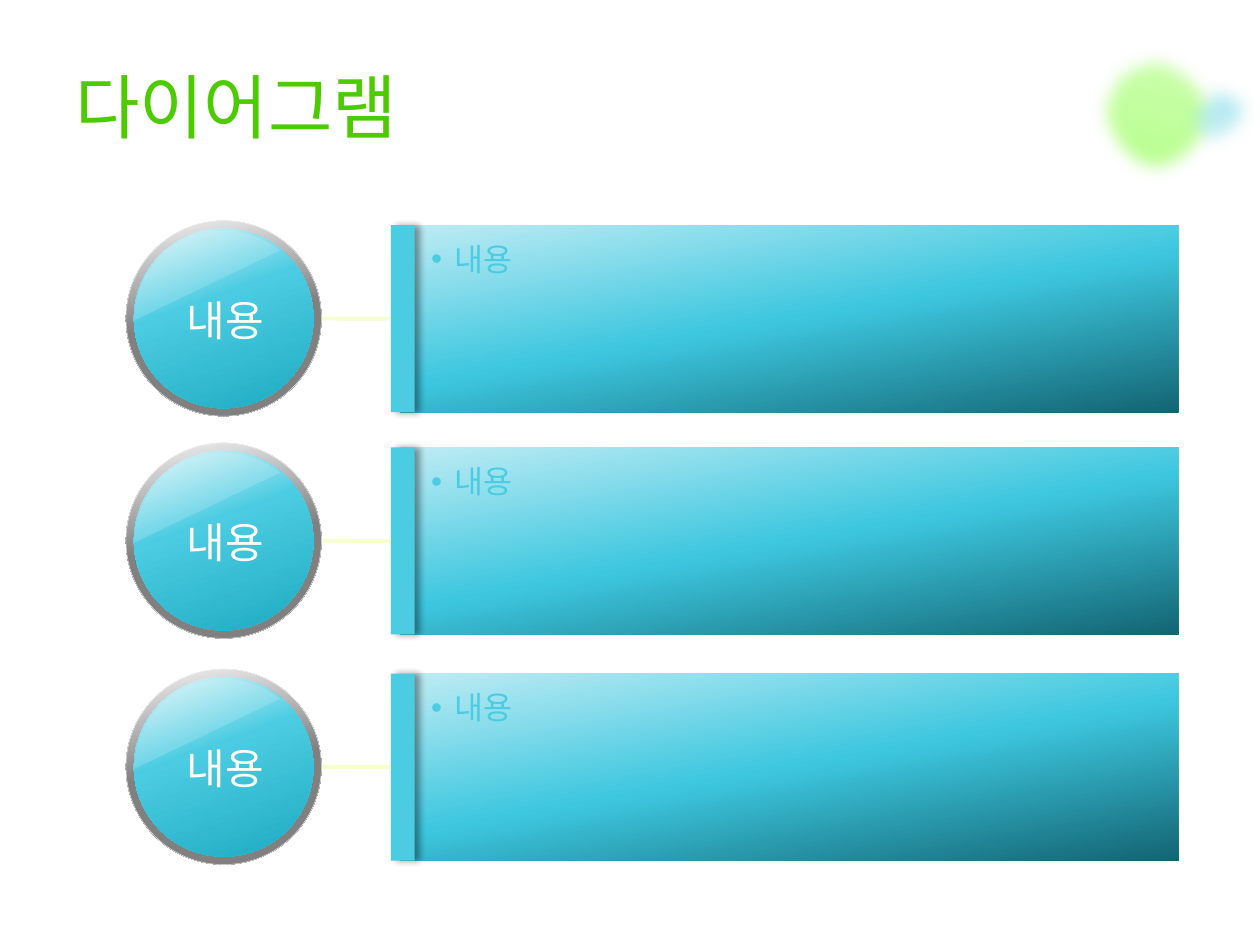
from lxml.etree import SubElement
from pptx import Presentation
from pptx.dml.color import RGBColor
from pptx.enum.shapes import MSO_CONNECTOR, MSO_SHAPE
from pptx.enum.text import MSO_ANCHOR, MSO_AUTO_SIZE, PP_ALIGN
from pptx.oxml.ns import qn
from pptx.util import Cm, Pt

ROW_TOPS = [4.45, 8.93, 13.49]
BALL, RIM = 3.94, 0.16
AQUA = "4BCCE2"

# Blob outlines in inches: start point, then cubic Bezier segments
GREEN_BLOB = [(9.74, 1.03),
              (9.71, 1.18, 9.74, 1.26, 9.49, 1.39), (9.36, 1.47, 9.21, 1.5, 9.06, 1.46),
              (8.91, 1.43, 8.78, 1.34, 8.7, 1.21), (8.65, 1.04, 8.59, 0.93, 8.63, 0.78),
              (8.66, 0.63, 8.75, 0.5, 8.88, 0.42), (9.06, 0.37, 9.18, 0.32, 9.31, 0.34),
              (9.43, 0.37, 9.55, 0.45, 9.63, 0.58), (9.71, 0.71, 9.78, 0.88, 9.74, 1.03)]
BLUE_BLOB = [(9.97, 1.05),
             (10.03, 0.96, 10, 0.89, 9.99, 0.82), (9.98, 0.75, 9.97, 0.65, 9.91, 0.6),
             (9.85, 0.56, 9.71, 0.54, 9.62, 0.56), (9.54, 0.58, 9.45, 0.63, 9.39, 0.72),
             (9.32, 0.81, 9.32, 0.92, 9.34, 1.01), (9.35, 1.09, 9.4, 1.19, 9.46, 1.24),
             (9.53, 1.29, 9.64, 1.31, 9.71, 1.31), (9.78, 1.3, 9.81, 1.29, 9.87, 1.2)]


def rgb(color):
    return RGBColor.from_string(color)


def add_xml(parent, tag, **attrs):
    return SubElement(parent, qn(tag), {k: str(v) for k, v in attrs.items()})


def add_color(parent, color, alpha=100):
    clr = add_xml(parent, "a:srgbClr", val=color)
    if alpha < 100:
        add_xml(clr, "a:alpha", val=alpha * 1000)


def paint(sp, fill, alpha=100, angle=80):
    """Fill with one colour, or with a gradient of (position, colour, opacity) stops."""
    sp.shadow.inherit = False
    sp.line.fill.background()
    if isinstance(fill, str):
        sp.fill.solid()
        sp.fill.fore_color.rgb = rgb(fill)
        if alpha < 100:
            clr = sp.element.spPr.find(qn("a:solidFill"))[0]
            add_xml(clr, "a:alpha", val=alpha * 1000)
        return
    sp.fill.background()
    spPr = sp.element.spPr
    old = spPr.find(qn("a:noFill"))
    grad = add_xml(spPr, "a:gradFill", rotWithShape=1)
    spPr.replace(old, grad)
    stops = add_xml(grad, "a:gsLst")
    for pos, *color in fill:
        add_color(add_xml(stops, "a:gs", pos=pos * 1000), *color)
    add_xml(grad, "a:lin", ang=angle * 60000, scaled=0)


def add_effect(sp, tag, **attrs):
    return add_xml(sp.element.spPr.find(qn("a:effectLst")), tag, **attrs)


def add_shape(shapes, kind, x, y, w, h, fill, **kw):
    sp = shapes.add_shape(kind, Cm(x), Cm(y), Cm(w), Cm(h))
    paint(sp, fill, **kw)
    return sp


def write(sp, text, size, color, font="Arial", align=PP_ALIGN.LEFT,
          anchor=MSO_ANCHOR.MIDDLE, wrap=True, bullet=False):
    tf = sp.text_frame
    tf.word_wrap = wrap
    tf.vertical_anchor = anchor
    p = tf.paragraphs[0]
    p.alignment = align
    if bullet:
        pPr = p._p.get_or_add_pPr()
        pPr.set("marL", str(Cm(0.48)))
        pPr.set("indent", str(-Cm(0.48)))
        add_xml(pPr, "a:buFont", typeface="Arial")
        add_xml(pPr, "a:buChar", char="•")
    r = p.add_run()
    r.text = text
    r.font.size = Pt(size)
    r.font.name = font
    r.font.color.rgb = rgb(color)
    add_xml(r._r.get_or_add_rPr(), "a:ea", typeface=font)
    return tf


def add_text(s, x, y, w, h, text, **kw):
    return write(s.shapes.add_textbox(Cm(x), Cm(y), Cm(w), Cm(h)), text, **kw)


def add_blob(s, outline, stops, rotation, steps=8):
    start, *curves = outline
    points, last = [], start
    for x1, y1, x2, y2, x3, y3 in curves:
        for t in (i / steps for i in range(1, steps + 1)):
            u = 1 - t
            points.append(tuple(
                Cm(2.54 * (u**3 * a + 3 * u * u * t * b + 3 * u * t * t * c + t**3 * d))
                for a, b, c, d in zip(last, (x1, y1), (x2, y2), (x3, y3))))
        last = (x3, y3)
    fb = s.shapes.build_freeform(*(Cm(2.54 * v) for v in start))
    fb.add_line_segments(points, close=True)
    sp = fb.convert_to_shape()
    paint(sp, stops, angle=90)
    sp.rotation = rotation
    add_effect(sp, "a:softEdge", rad=Pt(10))


def add_ball(s, top):
    shapes = s.shapes.add_group_shape().shapes
    left, inner = 2.54, BALL - 2 * RIM
    rim = add_shape(shapes, MSO_SHAPE.OVAL, left, top, BALL, BALL,
                    [(0, "F2F2F2"), (50, "808080"), (100, "808080")])
    rim.line.color.rgb = rgb("F2F2F2")
    rim.line.width = Pt(0.25)
    add_shape(shapes, MSO_SHAPE.OVAL, left + RIM, top + RIM, inner, inner,
              [(0, "EDFAFC"), (40, AQUA), (100, "1FABC2")], angle=70)
    gloss = add_shape(shapes, MSO_SHAPE.CHORD, left + RIM, top + RIM + 0.04,
                      inner, inner, "DBF5F9", alpha=20)
    gloss.adjustments[0], gloss.adjustments[1] = 53.95, 131.3
    gloss.rotation = 90
    tf = add_text(s, 3.45, top + 1.35, 2.18, 1.28, "내용", size=24, color="FDFFF5",
                  align=PP_ALIGN.CENTER, wrap=False)
    tf.auto_size = MSO_AUTO_SIZE.SHAPE_TO_FIT_TEXT


def add_panel(s, top):
    shapes = s.shapes.add_group_shape().shapes
    panel = add_shape(shapes, MSO_SHAPE.RECTANGLE, 8.08, top, 15.67, 3.77,
                      [(0, "BEECF4"), (50, "3DC7DF"), (100, "136573")])
    tf = write(panel, "내용", 18, AQUA, anchor=MSO_ANCHOR.TOP, bullet=True)
    tf.margin_left, tf.margin_top = Cm(0.61), Cm(0.3)
    bar = add_shape(shapes, MSO_SHAPE.RECTANGLE, 7.88, top, 0.48, 3.77, AQUA)
    shadow = add_effect(bar, "a:outerShdw", blurRad=Pt(4), dist=Pt(3), dir=0,
                        algn="l", rotWithShape=0)
    add_color(shadow, "000000", 40)
    return bar


def add_link(s, top, bar):
    y = Cm(top + BALL / 2)
    ln = s.shapes.add_connector(MSO_CONNECTOR.STRAIGHT, Cm(6.5), y, Cm(7.88), y)
    ln.end_connect(bar, 1)
    ln.line.color.rgb = rgb("F6FFCD")
    ln.line.width = Pt(2.25)
    add_xml(ln.element.spPr, "a:effectLst")


def main():
    prs = Presentation()
    prs.slide_width, prs.slide_height = Cm(25.4), Cm(19.05)
    s = prs.slides.add_slide(prs.slide_layouts[6])

    # Corner decoration
    add_blob(s, GREEN_BLOB, [(0, "B2FF84"), (100, "B2FF84", 58)], 192.5)
    add_blob(s, BLUE_BLOB, [(0, "8CDFEC"), (100, "B0E9F2", 36)], 34.8)

    # Title
    add_text(s, 1.27, 0.84, 22.86, 2.57, "다이어그램", size=40, color="4CCB00",
             font="DejaVu Sans")

    # Rows: ball, panel and the link between them
    for top in ROW_TOPS:
        add_ball(s, top)
        bar = add_panel(s, top + 0.09)
        add_link(s, top, bar)

    prs.save("out.pptx")


if __name__ == "__main__":
    main()
